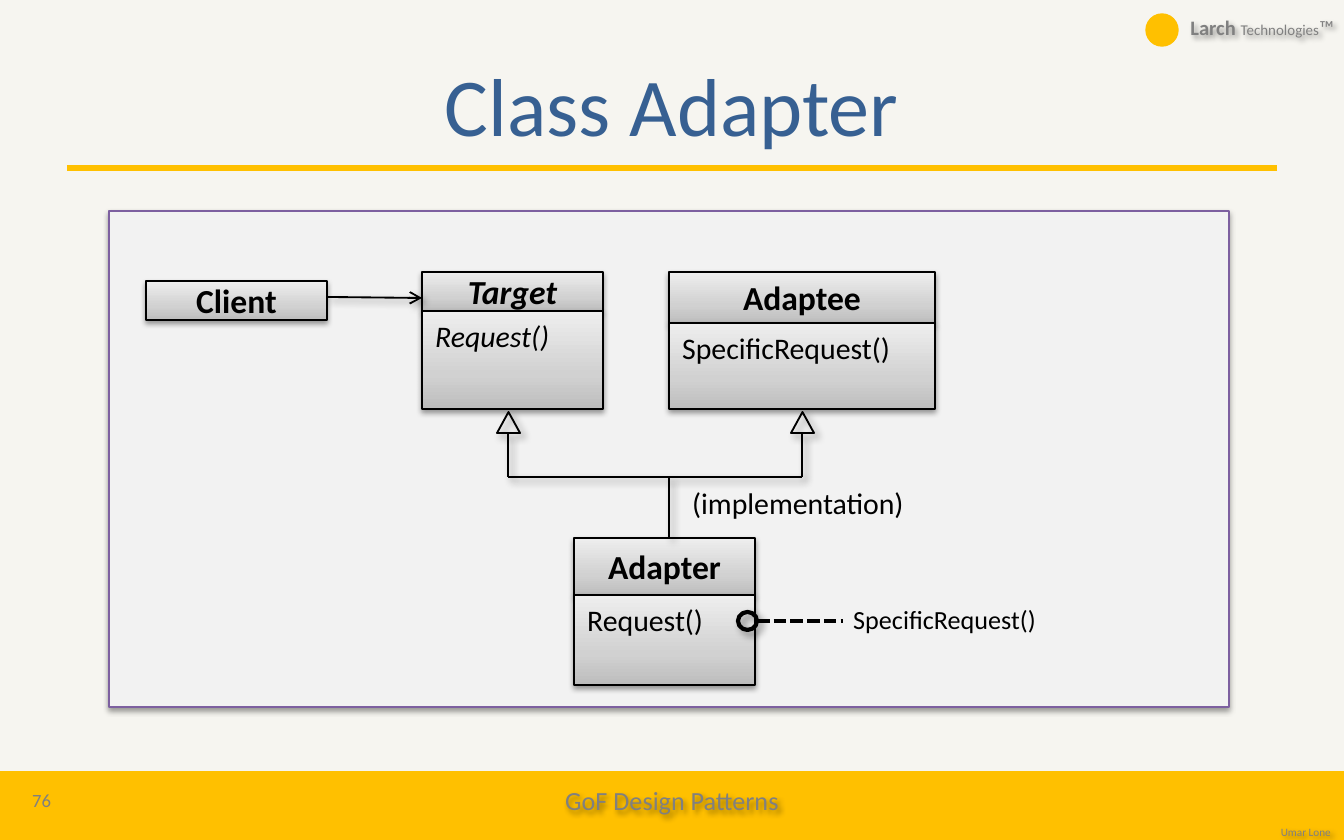
from dataclasses import dataclass

from pptx import Presentation
from pptx.dml.color import RGBColor
from pptx.enum.dml import MSO_LINE
from pptx.enum.shapes import MSO_CONNECTOR, MSO_SHAPE
from pptx.enum.text import MSO_ANCHOR, PP_ALIGN
from pptx.oxml import parse_xml
from pptx.oxml.ns import nsdecls, qn
from pptx.util import Pt

EMU_PER_PX = 9144000 / 1344


@dataclass(frozen=True)
class Theme:
    font: str = "Calibri"
    paper: str = "F6F5F0"
    gold: str = "FFC000"
    title: str = "376092"
    muted: str = "808080"
    ink: str = "000000"
    panel: str = "F2F2F2"
    panel_line: str = "7D60A0"
    gradient: tuple = ((0, "BDBDBD"), (35, "D1D1D1"), (100, "EEEEEE"))
    title_size: int = 44
    class_size: int = 18
    member_size: int = 16
    note_size: int = 14
    brand_size: int = 11
    brand_small_size: int = 8
    number_size: int = 10
    credit_size: int = 6


THEME = Theme()
# Shadows: opacity %, blur pt, distance pt, angle
BOX_SHADOW = (38, 3.1, 1.6, 90)
LINE_SHADOW = (40, 4, 3, 45)
TEXT_SHADOW = (40, 3, 2, 45)


def px(length):
    return round(length * EMU_PER_PX)


def rgb(color):
    return RGBColor.from_string(color)


def set_shadow(shape, shadow=None):
    """Replace the inherited shadow with the given one, or with none."""
    properties = shape._element.spPr
    effects = properties.find(qn("a:effectLst"))
    if effects is None:
        effects = parse_xml(f'<a:effectLst {nsdecls("a")}/>')
        properties.append(effects)
    if shadow:
        opacity, blur, distance, angle = shadow
        effects.append(parse_xml(
            f'<a:outerShdw {nsdecls("a")} blurRad="{Pt(blur)}" dist="{Pt(distance)}" '
            f'dir="{angle * 60000}" rotWithShape="0"><a:srgbClr val="{THEME.ink}">'
            f'<a:alpha val="{opacity * 1000}"/></a:srgbClr></a:outerShdw>'))


def set_gradient(shape):
    shape.fill.gradient()
    gradient = shape._element.spPr.find(qn("a:gradFill"))
    stops = "".join(f'<a:gs pos="{position * 1000}"><a:srgbClr val="{color}"/></a:gs>'
                    for position, color in THEME.gradient)
    gradient.replace(gradient.find(qn("a:gsLst")),
                     parse_xml(f'<a:gsLst {nsdecls("a")}>{stops}</a:gsLst>'))
    shape.fill.gradient_angle = 90


def add_span(para, text, size, color=THEME.ink, bold=False, italic=False):
    span = para.add_run()
    span.text = text
    span.font.name = THEME.font
    span.font.size = Pt(size)
    span.font.color.rgb = rgb(color)
    span.font.bold = bold
    span.font.italic = italic


def set_text(box, text, *, align=PP_ALIGN.LEFT, anchor=MSO_ANCHOR.TOP, **style):
    frame = box.text_frame
    frame.word_wrap = True
    frame.vertical_anchor = anchor
    para = frame.paragraphs[0]
    para.alignment = align
    add_span(para, text, **style)
    return para


def add_label(page, area, text, **style):
    box = page.shapes.add_textbox(*map(px, area))
    return box, set_text(box, text, **style)


def add_box(page, kind, area, fill=None, line=THEME.ink, width=0.75, shadow=None):
    shape = page.shapes.add_shape(kind, *map(px, area))
    if fill == "gradient":
        set_gradient(shape)
    elif fill:
        shape.fill.solid()
        shape.fill.fore_color.rgb = rgb(fill)
    else:
        shape.fill.background()
    shape.line.color.rgb = rgb(line)
    shape.line.width = Pt(width)
    shape.shadow.inherit = False
    set_shadow(shape, shadow)
    return shape


def add_line(page, start, end, color=THEME.ink, width=1, shadow=LINE_SHADOW,
             dash=None, arrow=False):
    line = page.shapes.add_connector(MSO_CONNECTOR.STRAIGHT, *map(px, start + end))
    line.line.color.rgb = rgb(color)
    line.line.width = Pt(width)
    if dash:
        line.line.dash_style = dash
    if arrow:
        line.line._get_or_add_ln().append(
            parse_xml(f'<a:tailEnd {nsdecls("a")} type="arrow"/>'))
    set_shadow(line, shadow)


def add_class(page, left, top, width, head, body=0, name="", member="", abstract=False):
    """A class box: the name above, its operation below."""
    heading = add_box(page, MSO_SHAPE.RECTANGLE, (left, top, width, head),
                      "gradient", shadow=BOX_SHADOW)
    set_text(heading, name, align=PP_ALIGN.CENTER, anchor=MSO_ANCHOR.MIDDLE,
             size=THEME.class_size, bold=True, italic=abstract)
    if member:
        members = add_box(page, MSO_SHAPE.RECTANGLE, (left, top + head, width, body),
                          "gradient", shadow=BOX_SHADOW)
        set_text(members, member, size=THEME.member_size, italic=abstract)


def add_frame(page):
    # Footer band and title rule
    add_box(page, MSO_SHAPE.RECTANGLE, (0, 773, 1344, 67), THEME.gold, THEME.gold, 2)
    add_line(page, (67, 168), (1277, 168), THEME.gold, 3, shadow=None)
    footer, _ = add_label(page, (536, 775, 272, 51), "GoF Design Patterns",
                          align=PP_ALIGN.CENTER, anchor=MSO_ANCHOR.MIDDLE,
                          size=THEME.note_size, color=THEME.muted)
    credit, _ = add_label(page, (1165, 822, 179, 23), "Umar Lone",
                          align=PP_ALIGN.RIGHT, anchor=MSO_ANCHOR.BOTTOM,
                          size=THEME.credit_size, color=THEME.muted)
    # Brand line with a plain mark
    add_box(page, MSO_SHAPE.OVAL, (1146, 14, 32, 32), THEME.gold, THEME.gold)
    brand, para = add_label(page, (1168, 2, 179, 51), "Larch ",
                            align=PP_ALIGN.RIGHT, anchor=MSO_ANCHOR.MIDDLE,
                            size=THEME.brand_size, color=THEME.muted, bold=True)
    add_span(para, "Technologies", THEME.brand_small_size, THEME.muted)
    add_span(para, "™", THEME.brand_size, THEME.muted)
    for box in (footer, credit, brand):
        set_shadow(box, TEXT_SHADOW)
    # Title and page number
    add_label(page, (67, 34, 1210, 140), "Class Adapter",
              align=PP_ALIGN.CENTER, anchor=MSO_ANCHOR.MIDDLE,
              size=THEME.title_size, color=THEME.title)
    add_label(page, (4, 778, 75, 44), "76",
              align=PP_ALIGN.CENTER, anchor=MSO_ANCHOR.MIDDLE,
              size=THEME.number_size, color=THEME.muted)


def add_inheritance(page, parents, child, branch):
    """Join the child to its parents by a branch with hollow triangles."""
    for center in parents:
        add_box(page, MSO_SHAPE.ISOSCELES_TRIANGLE, (center - 11, 412, 23, 21),
                width=1, shadow=LINE_SHADOW)
        add_line(page, (center, 434), (center, branch))
    add_line(page, (parents[0], branch), (parents[-1], branch))
    add_line(page, child, (child[0], branch))


def add_diagram(page):
    add_box(page, MSO_SHAPE.RECTANGLE, (109, 211, 1120, 496), THEME.panel,
            THEME.panel_line, shadow=BOX_SHADOW)
    # Classes
    add_class(page, 146, 281, 181, 39, name="Client")
    add_class(page, 422, 272, 181, 39, 98, "Target", "Request()", abstract=True)
    add_class(page, 669, 272, 266, 51, 86, "Adaptee", "SpecificRequest()")
    add_class(page, 574, 538, 181, 57, 90, "Adapter", "Request()")
    # Relations
    add_line(page, (327, 297), (422, 298), arrow=True)
    add_inheritance(page, (508, 802), (669, 538), 477)
    add_label(page, (679, 478, 247, 50), "(implementation)", size=THEME.member_size)
    # Note on the adapter's operation
    add_box(page, MSO_SHAPE.OVAL, (738, 612, 19, 18), width=2.25, shadow=LINE_SHADOW)
    add_line(page, (757, 621), (843, 621), width=2.25, shadow=None,
             dash=MSO_LINE.SQUARE_DOT)
    add_label(page, (840, 597, 266, 44), "SpecificRequest()", size=THEME.note_size)


def main():
    deck = Presentation()
    deck.slide_width, deck.slide_height = px(1344), px(840)
    page = deck.slides.add_slide(deck.slide_layouts[6])
    page.background.fill.solid()
    page.background.fill.fore_color.rgb = rgb(THEME.paper)
    add_frame(page)
    add_diagram(page)
    deck.save("out.pptx")


if __name__ == "__main__":
    main()
